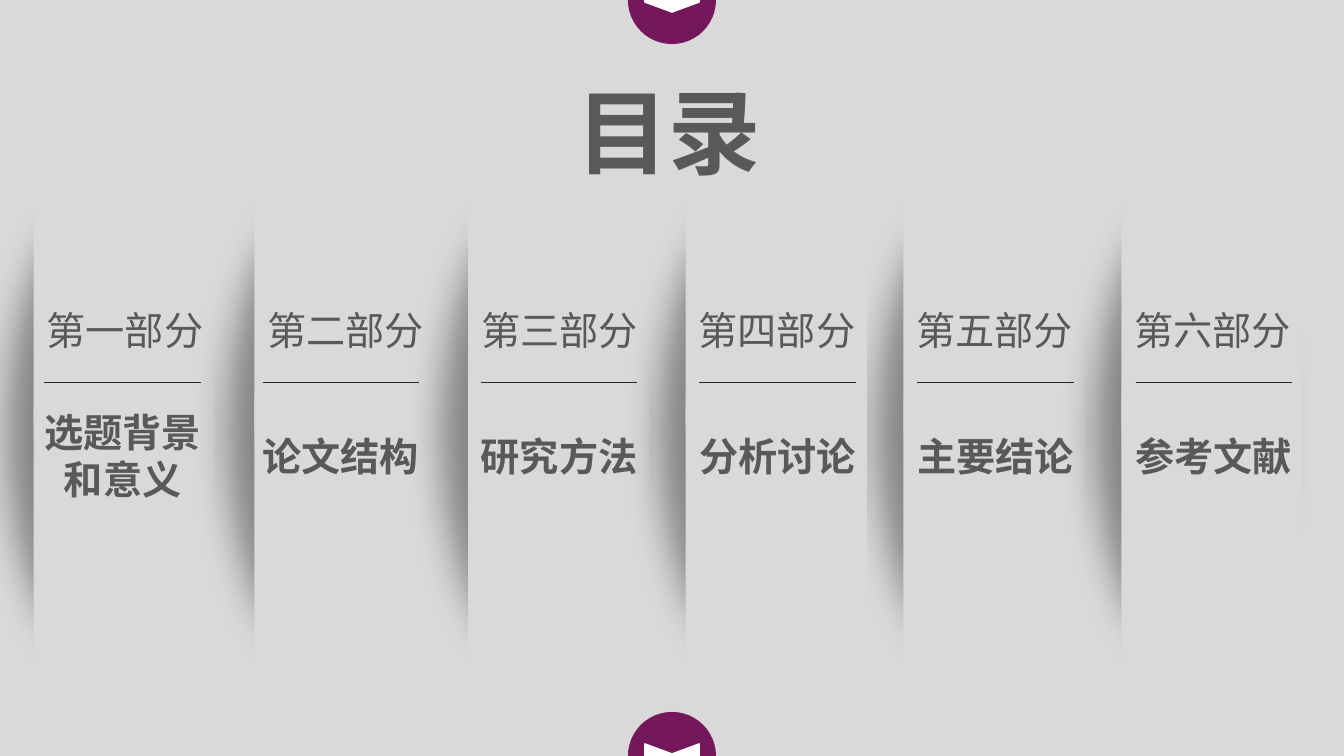
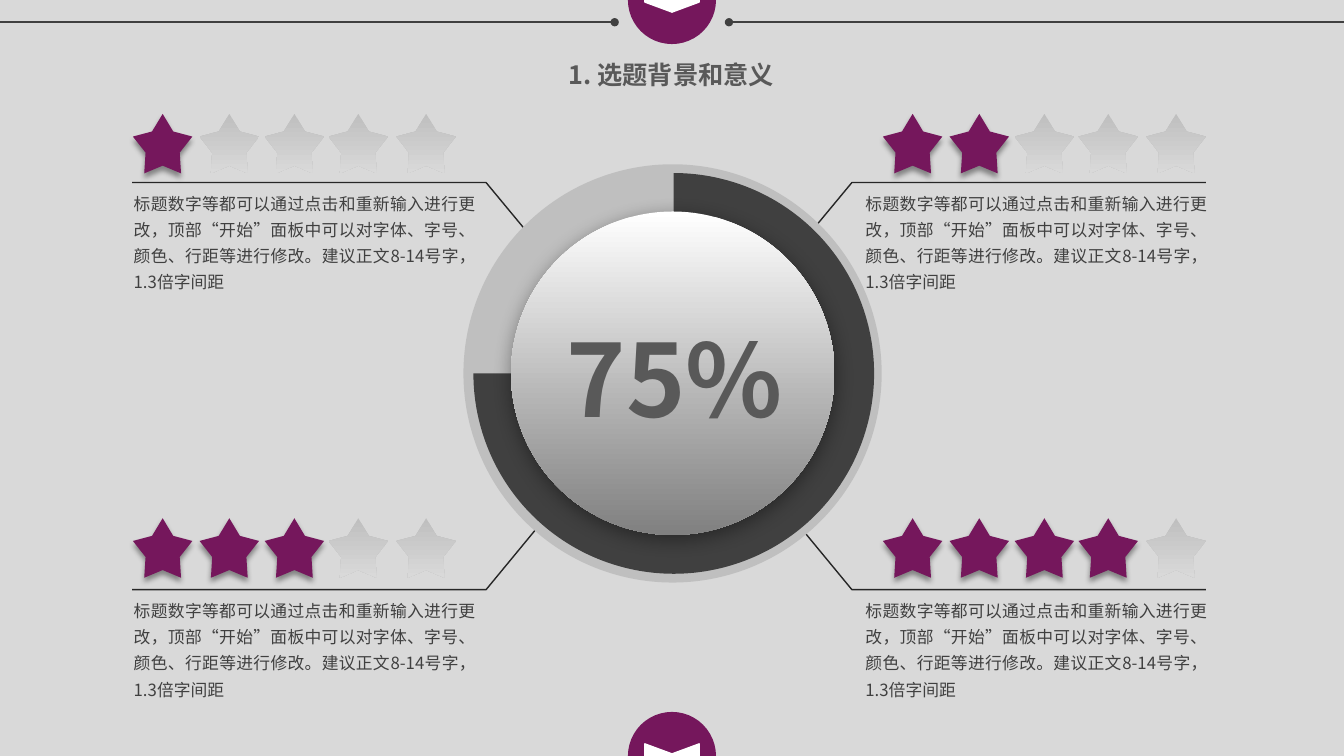
from dataclasses import dataclass
from itertools import product

from lxml import etree
from pptx import Presentation
from pptx import util as u
from pptx.chart.data import CategoryChartData
from pptx.dml.color import RGBColor
from pptx.enum import chart as charts, shapes, text
from pptx.oxml.ns import qn

Cm, Pt = u.Cm, u.Pt
Preset, Align = shapes.MSO_SHAPE, text.PP_ALIGN


@dataclass(frozen=True)
class Theme:
    """Colours, font and type sizes shared by the deck."""
    font: str = "Noto Sans CJK SC"
    page: str = "D9D9D9"
    accent: str = "75175C"
    white: str = "FFFFFF"
    heading: str = "595959"
    dark: str = "404040"
    rule: str = "262626"
    ring: str = "BFBFBF"
    shade: str = "808080"
    title: int = 66
    figure: int = 72
    section: int = 28
    subtitle: int = 18
    body: int = 12
    label: int = 10


THEME = Theme()
WIDTH, HEIGHT = 33.87, 19.05
SECTIONS = [
    (0.85, "第一部分", "选题背景\n和意义"),
    (6.41, "第二部分", "论文结构"),
    (11.8, "第三部分", "研究方法"),
    (17.28, "第四部分", "分析讨论"),
    (22.77, "第五部分", "主要结论"),
    (28.26, "第六部分", "参考文献"),
]
ADVICE = (
    "标题数字等都可以通过点击和重新输入进行更改，顶部“开始”面板中可以对字体、字号、"
    "颜色、行距等进行修改。建议正文8-14号字，1.3倍字间距"
)
STAR_STEPS = (0, 1.68, 3.32, 4.93, 6.64)


def rgb(value):
    """Turn a hex string into a colour."""
    return RGBColor.from_string(value)


def add_page(deck):
    """Add a blank page with the shared background."""
    page = deck.slides.add_slide(deck.slide_layouts[6])
    page.background.fill.solid()
    page.background.fill.fore_color.rgb = rgb(THEME.page)
    return page


def add_preset(page, preset, left, top, width, height, fill):
    """Add a borderless preset; a pair of fills makes a vertical gradient."""
    shape = page.shapes.add_shape(preset, Cm(left), Cm(top), Cm(width), Cm(height))
    shape.shadow.inherit = False
    shape.line.fill.background()
    if isinstance(fill, tuple):
        shape.fill.gradient()
        shape.fill.gradient_angle = 270
        for stop, color in zip(shape.fill.gradient_stops, fill):
            stop.color.rgb = rgb(color)
    else:
        shape.fill.solid()
        shape.fill.fore_color.rgb = rgb(fill)
    return shape


def add_shadow(shape, blur, distance, angle):
    """Give a shape a soft black outer shadow."""
    effects = shape._element.spPr.find(qn("a:effectLst"))
    shadow = etree.SubElement(
        effects, qn("a:outerShdw"), blurRad=str(Pt(blur)), dist=str(Pt(distance)),
        dir=str(angle * 60000), algn="ctr", rotWithShape="0")
    color = etree.SubElement(shadow, qn("a:srgbClr"), val="000000")
    etree.SubElement(color, qn("a:alpha"), val="40000")


def add_text(page, words, left, top, width, height, size, color=THEME.heading,
             bold=False, align=Align.CENTER, wrap=False, spacing=None,
             anchor=text.MSO_ANCHOR.TOP):
    """Add a text box with one style for all its paragraphs."""
    box = page.shapes.add_textbox(Cm(left), Cm(top), Cm(width), Cm(height))
    frame = box.text_frame
    frame.text = words
    frame.word_wrap = wrap
    frame.vertical_anchor = anchor
    for para in frame.paragraphs:
        para.alignment = align
        para.line_spacing = spacing
        font = para.font
        font.size, font.bold, font.name = Pt(size), bold, THEME.font
        font.color.rgb = rgb(color)
        etree.SubElement(font._rPr, qn("a:ea"), typeface=THEME.font)


def add_rule(page, start, end, y, color, weight, dot=False):
    """Add a horizontal line, with a dot at its end if asked."""
    rule = page.shapes.add_connector(
        shapes.MSO_CONNECTOR.STRAIGHT, Cm(start), Cm(y), Cm(end), Cm(y))
    rule.line.color.rgb = rgb(color)
    rule.line.width = Pt(weight)
    if dot:
        etree.SubElement(rule.line._get_or_add_ln(), qn("a:tailEnd"), type="oval")
    etree.SubElement(rule._element.spPr, qn("a:effectLst"))


def add_badges(page):
    """Add the round badges on the top and bottom page edges."""
    center, size, length, breadth = WIDTH / 2, 2.22, 0.61, 1.37
    for y in (HEIGHT, 0):
        add_preset(page, Preset.OVAL, center - size / 2, y - size / 2,
                   size, size, THEME.accent)
        arrow = add_preset(page, Preset.CHEVRON, center - length / 2,
                           y - breadth / 2, length, breadth, THEME.white)
        arrow.adjustments[0] = 0.415
        arrow.rotation = 90
        arrow.line.color.rgb = rgb(THEME.white)
        arrow.line.width = Pt(1)


def add_panel(page, left):
    """Add a raised panel whose shadow falls to its left."""
    curve = add_preset(page, Preset.OVAL, left, 4.84, 4.57, 11.25, THEME.page)
    add_shadow(curve, 27, 22, 146)
    add_preset(page, Preset.RECTANGLE, left, 3.37, 4.57, 14.6, THEME.page)


def add_leader(page, points):
    """Add an open bent line through the points."""
    start, *rest = [(Cm(x), Cm(y)) for x, y in points]
    builder = page.shapes.build_freeform(*start)
    builder.add_line_segments(rest, close=False)
    leader = builder.convert_to_shape()
    leader.shadow.inherit = False
    leader.fill.background()
    leader.line.color.rgb = rgb(THEME.rule)
    leader.line.width = Pt(1)


def add_stars(page, left, top, rating):
    """Add five stars, the first ones lit up to the rating."""
    for index, step in enumerate(STAR_STEPS):
        lit = index < rating
        fill = THEME.accent if lit else (THEME.ring, THEME.page)
        star = add_preset(page, Preset.STAR_5_POINT, left + step, top, 1.5, 1.5, fill)
        star.adjustments[0] = 0.287
        if lit:
            add_shadow(star, 4, 3, 90)


def add_doughnut(page, share):
    """Add a doughnut chart that shows one share of a hundred."""
    data = CategoryChartData()
    data.categories = ["1", "2"]
    data.add_series("Series 1", (share, 100 - share))
    chart = page.shapes.add_chart(
        charts.XL_CHART_TYPE.DOUGHNUT, Cm(8.89), Cm(4.01), Cm(16.18), Cm(10.8),
        data).chart
    chart.has_legend = chart.has_title = False
    chart.font.name, chart.font.size = THEME.font, Pt(THEME.label)
    plot = chart.plots[0]
    plot.vary_by_categories = True
    plot._element.find(qn("c:holeSize")).set("val", "52")
    filled, rest = (plot.series[0].points[index].format for index in range(2))
    filled.fill.solid()
    filled.fill.fore_color.rgb = rgb(THEME.dark)
    rest.fill.background()
    for part in (filled, rest):
        part.line.fill.background()


def add_gauge(page, share):
    """Add the ring, the doughnut and the central figure."""
    ring = add_preset(page, Preset.DONUT, 11.68, 4.14, 10.54, 10.54, THEME.ring)
    ring.adjustments[0] = 0.18
    add_doughnut(page, share)
    dial = add_preset(page, Preset.OVAL, 12.88, 5.33, 8.15, 8.15,
                      (THEME.white, THEME.shade))
    add_shadow(dial, 14, 3, 90)
    add_text(page, f"{share}%", 13.97, 7.85, 6.07, 3.33, THEME.figure, bold=True)


def build_contents(deck):
    """Build the contents page."""
    page = add_page(deck)
    lefts = [left for left, *_ in SECTIONS]
    for left in lefts[:3] + lefts[4:] + lefts[3:4]:
        add_panel(page, left)
    add_text(page, "目录", 14.25, 1.78, 5.21, 3.07, THEME.title, bold=True)
    for index, (left, number, name) in enumerate(SECTIONS):
        start = 1.12 + 5.5 * index
        add_text(page, number, left + 0.05, 7.59, 4.5, 1.45, THEME.section)
        add_text(page, name, start - 0.28, 10.75, 4.5, 1.45, THEME.section,
                 bold=True, anchor=text.MSO_ANCHOR.MIDDLE)
        add_rule(page, start, start + 3.94, 9.63, THEME.rule, 0.5)
    add_badges(page)


def build_background(deck):
    """Build the page with the gauge and four rated notes."""
    page = add_page(deck)
    rows = [(2.87, 6.65, 4.6), (13.06, 12.8, 14.86)]
    columns = [(3.35, 3.12, (13.95, 12.25, 3.33)),
               (22.25, 21.56, (19.77, 21.47, 30.39))]
    notes = list(product(rows, columns))
    for (_, inner, outer), (_, _, xs) in notes:
        add_leader(page, zip(xs, (inner, outer, outer)))
    for start, end in ((0, 15.49), (WIDTH, 18.37)):
        add_rule(page, start, end, 0.56, THEME.dark, 1.25, dot=True)
    add_text(page, "1. 选题背景和意义", 13.97, 1.37, 5.9, 1.02, THEME.subtitle,
             bold=True, wrap=True)
    add_gauge(page, 75)
    for rating, (row, column) in enumerate(notes, 1):
        add_stars(page, column[0], row[0], rating)
        add_text(page, ADVICE, column[1], row[2], 9.12, 2.92, THEME.body,
                 THEME.dark, align=Align.JUSTIFY, wrap=True, spacing=1.3)
    add_badges(page)


def main():
    """Build and save the deck."""
    deck = Presentation()
    deck.slide_width, deck.slide_height = Cm(WIDTH), Cm(HEIGHT)
    build_contents(deck)
    build_background(deck)
    deck.save("out.pptx")


if __name__ == "__main__":
    main()
